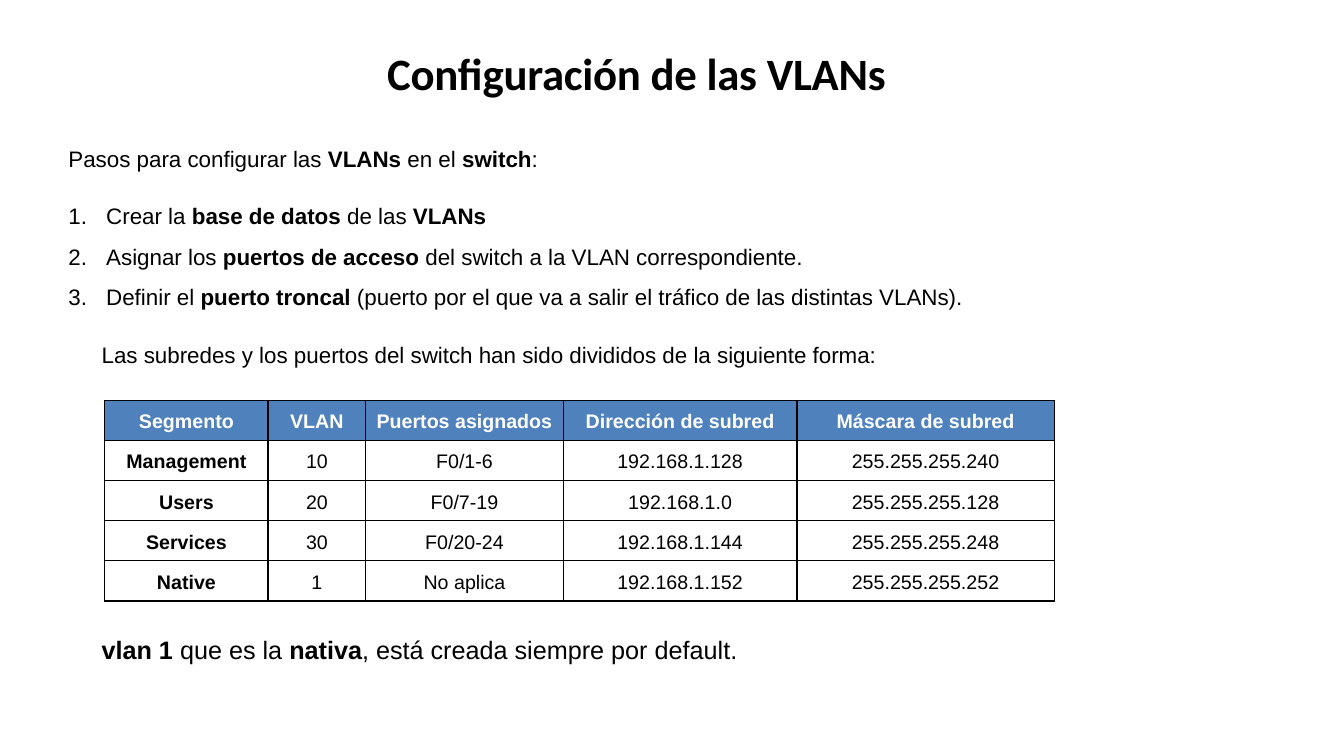
from dataclasses import dataclass

from pptx import Presentation
from pptx.dml.color import RGBColor
from pptx.enum.text import MSO_ANCHOR, MSO_AUTO_SIZE, PP_ALIGN
from pptx.oxml import parse_xml
from pptx.oxml.ns import nsdecls
from pptx.util import Pt


@dataclass(frozen=True)
class Theme:
    heading_font: str = "Calibri"
    body_font: str = "Arial"
    ink: str = "000000"
    paper: str = "FFFFFF"
    header: str = "4F81BD"
    title_size: int = 32
    note_size: int = 18
    body_size: int = 16
    table_size: int = 14


THEME = Theme()

STEPS = [
    "Crear la **base de datos** de las **VLANs**",
    "Asignar los **puertos de acceso** del switch a la VLAN correspondiente.",
    "Definir el **puerto troncal** (puerto por el que va a salir el tráfico "
    "de las distintas VLANs).",
]
COLUMN_WIDTHS = [116.6, 69.8, 141.1, 167, 183.6]
SEGMENTS = [
    ["Segmento", "VLAN", "Puertos asignados", "Dirección de subred", "Máscara de subred"],
    ["Management", "10", "F0/1-6", "192.168.1.128", "255.255.255.240"],
    ["Users", "20", "F0/7-19", "192.168.1.0", "255.255.255.128"],
    ["Services", "30", "F0/20-24", "192.168.1.144", "255.255.255.248"],
    ["Native", "1", "No aplica", "192.168.1.152", "255.255.255.252"],
]


def format_run(r, size, font=THEME.body_font, color=THEME.ink, bold=False):
    r.font.size = Pt(size)
    r.font.name = font
    r.font.color.rgb = RGBColor.from_string(color)
    r.font.bold = bold


def write_rich(p, text, size):
    """Write text in which ** switches bold on and off."""
    for i, part in enumerate(text.split("**")):
        if part:
            r = p.add_run()
            r.text = part
            format_run(r, size, bold=i % 2 == 1)


def add_text_box(s, box):
    tf = s.shapes.add_textbox(*map(Pt, box)).text_frame
    tf.word_wrap = True
    tf.auto_size = MSO_AUTO_SIZE.SHAPE_TO_FIT_TEXT
    return tf


def number_paragraph(p, indent):
    pPr = p._p.get_or_add_pPr()
    pPr.set("marL", str(Pt(indent)))
    pPr.set("indent", str(-Pt(indent)))
    pPr.append(parse_xml(f'<a:buFont {nsdecls("a")} typeface="+mj-lt"/>'))
    pPr.append(parse_xml(f'<a:buAutoNum {nsdecls("a")} type="arabicPeriod"/>'))


def add_title(s, box):
    sp = s.shapes.title
    sp.left, sp.top, sp.width, sp.height = map(Pt, box)
    tf = sp.text_frame
    tf.text = "Configuración de las VLANs"
    tf.margin_left = tf.margin_top = tf.margin_right = tf.margin_bottom = 0
    tf.vertical_anchor = MSO_ANCHOR.TOP
    tf.word_wrap = True
    p = tf.paragraphs[0]
    p.alignment = PP_ALIGN.LEFT
    p.line_spacing = 1.0
    p.space_before = Pt(0)
    r = p.runs[0]
    format_run(r, THEME.title_size, THEME.heading_font, bold=True)
    r._r.get_or_add_rPr().set("spc", "-20")


def add_steps(s, box):
    tf = add_text_box(s, box)
    p = tf.paragraphs[0]
    p.line_spacing = 1.5
    p.space_after = Pt(12)
    write_rich(p, "Pasos para configurar las **VLANs** en el **switch**:", THEME.body_size)
    for step in STEPS:
        p = tf.add_paragraph()
        p.line_spacing = 1.5
        number_paragraph(p, 27)
        write_rich(p, step, THEME.body_size)


def add_statement(s, box, text, size, line_spacing=1.0):
    p = add_text_box(s, box).paragraphs[0]
    p.line_spacing = line_spacing
    write_rich(p, text, size)


def format_cell(cell, text, color, fill, bold):
    cell.margin_left = cell.margin_right = cell.margin_top = cell.margin_bottom = 0
    cell.vertical_anchor = MSO_ANCHOR.MIDDLE
    cell.text = text
    p = cell.text_frame.paragraphs[0]
    p.alignment = PP_ALIGN.CENTER
    p.line_spacing = Pt(18)
    format_run(p.runs[0], THEME.table_size, color=color, bold=bold)
    # Borders come before the fill in the cell properties
    tcPr = cell._tc.get_or_add_tcPr()
    for side in ("lnL", "lnR", "lnT", "lnB"):
        tcPr.append(parse_xml(
            f'<a:{side} {nsdecls("a")} w="{Pt(1)}"><a:solidFill>'
            f'<a:srgbClr val="{THEME.ink}"/></a:solidFill></a:{side}>'))
    cell.fill.solid()
    cell.fill.fore_color.rgb = RGBColor.from_string(fill)


def add_segment_table(s, box):
    table = s.shapes.add_table(len(SEGMENTS), len(COLUMN_WIDTHS), *map(Pt, box)).table
    table.horz_banding = False
    for column, width in zip(table.columns, COLUMN_WIDTHS):
        column.width = Pt(width)
    for row, values in enumerate(SEGMENTS):
        table.rows[row].height = Pt(box[3] / len(SEGMENTS))
        is_header = row == 0
        for col, value in enumerate(values):
            format_cell(table.cell(row, col), value,
                        color=THEME.paper if is_header else THEME.ink,
                        fill=THEME.header if is_header else THEME.paper,
                        bold=is_header or col == 0)


def build_vlan_slide(prs):
    s = prs.slides.add_slide(prs.slide_layouts[5])
    # Title and numbered steps
    add_title(s, (276.5, 32.4, 406.8, 38.9))
    add_steps(s, (41.8, 90.7, 743.8, 131.8))
    # Subnet table with its introduction
    add_statement(s, (65.5, 230.4, 660.2, 32.4),
                  "Las subredes y los puertos del switch han sido divididos "
                  "de la siguiente forma:", THEME.body_size, 1.5)
    add_segment_table(s, (74.9, 286, sum(COLUMN_WIDTHS), 143.3))
    # Closing note
    add_statement(s, (65.5, 449.3, 482.4, 28.8),
                  "**vlan 1** que es la **nativa**, está creada siempre por default.",
                  THEME.note_size)


def main():
    prs = Presentation()
    prs.slide_width, prs.slide_height = Pt(960), Pt(540)
    build_vlan_slide(prs)
    prs.save("out.pptx")


if __name__ == "__main__":
    main()
